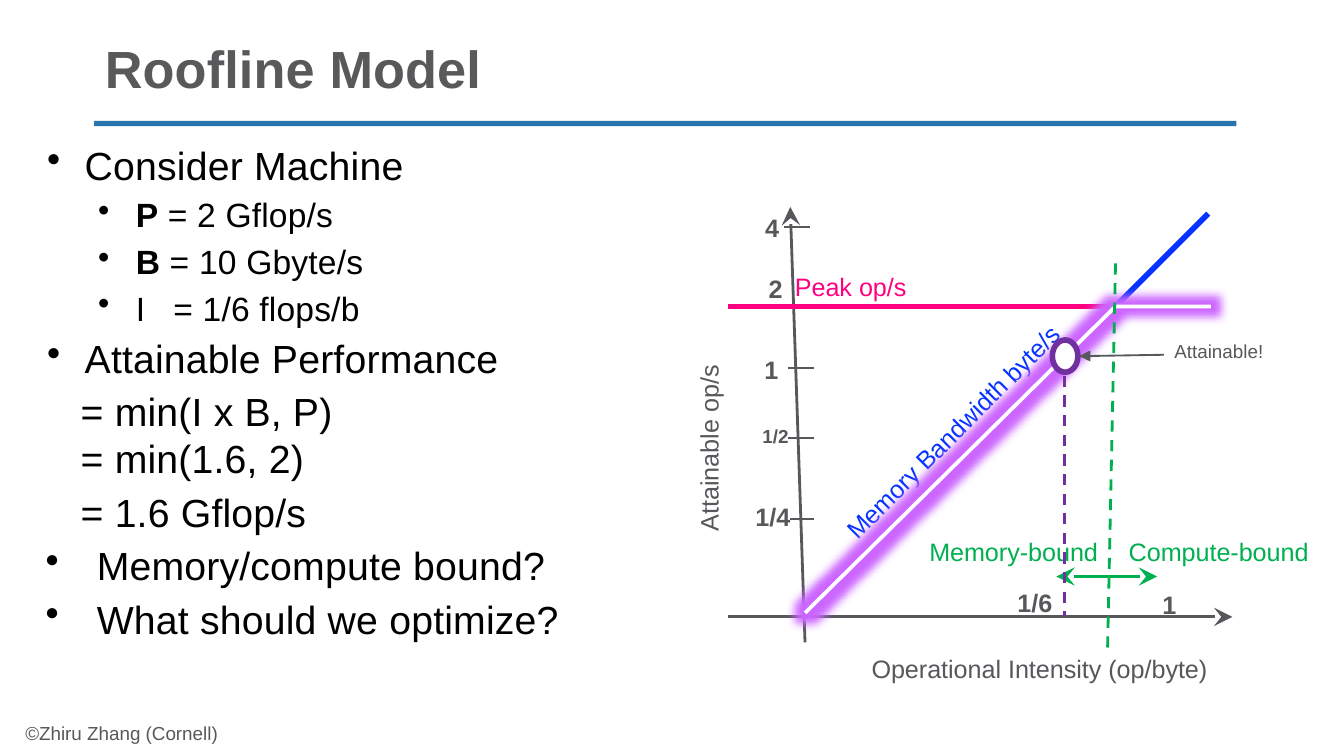
from dataclasses import dataclass

from lxml import etree
from pptx import Presentation
from pptx.dml.color import RGBColor
from pptx.enum.dml import MSO_LINE
from pptx.enum.shapes import MSO_CONNECTOR, MSO_SHAPE
from pptx.enum.text import MSO_ANCHOR, MSO_AUTO_SIZE, PP_ALIGN
from pptx.oxml.ns import qn
from pptx.util import Inches, Pt

LEFT, CENTER, RIGHT = PP_ALIGN.LEFT, PP_ALIGN.CENTER, PP_ALIGN.RIGHT
TOP, MIDDLE, BOTTOM = MSO_ANCHOR.TOP, MSO_ANCHOR.MIDDLE, MSO_ANCHOR.BOTTOM
DASH = MSO_LINE.DASH
TITLE_ONLY = 5


@dataclass(frozen=True)
class Theme:
    font: str = "Arial"
    title_gray: str = "58595B"
    gray: str = "57585B"
    black: str = "000000"
    white: str = "FFFFFF"
    rule: str = "2774AE"
    peak: str = "FF0080"
    bandwidth: str = "0432FF"
    bound: str = "00B050"
    point: str = "7030A0"
    glow: str = "CC66FF"
    title_size: float = 28
    body_size: float = 21
    sub_size: float = 18
    label_size: float = 13.5
    small_size: float = 10.1


THEME = Theme()
DEFAULT_INSETS = (0.1, 0.05, 0.1, 0.05)
NO_INSETS = (0, 0, 0, 0)


def rgb(color):
    return RGBColor.from_string(color)


def style(run, size, color, bold=False, spacing=0):
    """Format a run; spacing is the extra letter spacing in points."""
    font = run.font
    font.name, font.size, font.bold = THEME.font, Pt(size), bold
    font.color.rgb = rgb(color)
    if spacing:
        run._r.get_or_add_rPr().set("spc", str(round(spacing * 100)))


def set_frame(frame, insets, anchor=TOP, wrap=True):
    frame.margin_left, frame.margin_top, frame.margin_right, frame.margin_bottom = map(
        Inches, insets)
    frame.vertical_anchor, frame.word_wrap = anchor, wrap
    frame.auto_size = MSO_AUTO_SIZE.NONE


def add_label(slide, text, box, size=THEME.label_size, color=THEME.gray, bold=False,
              align=CENTER, anchor=TOP, insets=DEFAULT_INSETS, wrap=True, rotation=0):
    label = slide.shapes.add_textbox(*map(Inches, box))
    label.rotation = rotation
    set_frame(label.text_frame, insets, anchor, wrap)
    paragraph = label.text_frame.paragraphs[0]
    paragraph.text, paragraph.alignment = text, align
    style(paragraph.runs[0], size, color, bold)


def add_line(slide, start, end, color=THEME.gray, width=1.5, dash=None, arrow=None,
             arrow_size="med"):
    line = slide.shapes.add_connector(
        MSO_CONNECTOR.STRAIGHT, *map(Inches, (*start, *end)))
    line.line.color.rgb, line.line.width = rgb(color), Pt(width)
    if dash:
        line.line.dash_style = dash
    properties = line._element.spPr
    if arrow:
        etree.SubElement(properties.find(qn("a:ln")), qn("a:tailEnd"),
                         type=arrow, w=arrow_size, len=arrow_size)
    etree.SubElement(properties, qn("a:effectLst"))


def add_shape(slide, kind, box, fill, outline=None, width=3):
    shape = slide.shapes.add_shape(kind, *map(Inches, box))
    shape.shadow.inherit = False
    shape.fill.solid()
    shape.fill.fore_color.rgb = rgb(fill)
    if outline:
        shape.line.color.rgb, shape.line.width = rgb(outline), Pt(width)
    else:
        shape.line.fill.background()


def add_glowing_path(slide, points, color, width, glow, radius):
    start, *rest = [tuple(map(Inches, point)) for point in points]
    builder = slide.shapes.build_freeform(*start)
    builder.add_line_segments(rest, close=False)
    path = builder.convert_to_shape()
    path.shadow.inherit = False
    path.fill.background()
    path.line.color.rgb, path.line.width = rgb(color), Pt(width)
    effects = path._element.spPr.find(qn("a:effectLst"))
    halo = etree.SubElement(effects, qn("a:glow"), rad=str(Pt(radius)))
    etree.SubElement(halo, qn("a:srgbClr"), val=glow)


def indent(paragraph, margin, hanging, bullet):
    """Set margin, bullet and the tab stops shared by the whole list."""
    properties = paragraph._p.get_or_add_pPr()
    properties.set("marL", str(Inches(margin)))
    properties.set("indent", str(Inches(-hanging)))
    if bullet:
        etree.SubElement(properties, qn("a:buChar"), char="•")
    else:
        etree.SubElement(properties, qn("a:buNone"))
    stops = etree.SubElement(properties, qn("a:tabLst"))
    for position in (0.27, 0.95):
        etree.SubElement(stops, qn("a:tab"), pos=str(Inches(position)), algn="l")


def add_title(slide):
    title = slide.shapes.title
    title.left, title.top, title.width, title.height = map(
        Inches, (0.72, 0.31, 7.52, 0.43))
    set_frame(title.text_frame, (0, 0.01, 0, 0), BOTTOM)
    title.text_frame.text = "Roofline Model"
    heading = title.text_frame.paragraphs[0]
    heading.alignment, heading.line_spacing = LEFT, 0.9
    indent(heading, 0.06, 0, False)
    style(heading.runs[0], THEME.title_size, THEME.title_gray, True, spacing=0.1)
    add_shape(slide, MSO_SHAPE.RECTANGLE, (0.7, 0.9, 8.5, 0.04), THEME.rule)


def add_body(slide):
    # margin, hanging and bullet of each kind of line
    topic, detail = (0.29, 0.28, True), (0.67, 0.28, True)
    formula, question = (0.26, 0, False), (0.38, 0.38, True)
    lines = [
        (topic, "", "Consider Machine"),
        (detail, "P", " = 2 Gflop/s"),
        (detail, "B", " = 10 Gbyte/s"),
        (detail, "", "I\t= 1/6 flops/b"),
        (topic, "", "Attainable Performance"),
        (formula, "", "= min(I x B, P)\v= min(1.6, 2)"),
        (formula, "", "= 1.6 Gflop/s"),
        (question, "", "Memory/compute bound?"),
        (question, "", "What should we optimize?"),
    ]
    body = slide.shapes.add_textbox(*map(Inches, (0.34, 1, 6.05, 4.16))).text_frame
    set_frame(body, (0, 0.05, 0, 0))
    for number, (layout, symbol, text) in enumerate(lines):
        paragraph = body.add_paragraph() if number else body.paragraphs[0]
        size = THEME.sub_size if layout is detail else THEME.body_size
        paragraph.level = int(layout is detail)
        indent(paragraph, *layout)
        if number:
            paragraph.space_before = Pt(3.4)
        paragraph.text = symbol or text
        if symbol:
            paragraph.add_run().text = text
        for run in paragraph.runs:
            style(run, size, THEME.black, run.text == symbol, spacing=0.1)


def add_axes(slide):
    for start, end in (((5.42, 4.59), (9.17, 4.59)), ((5.99, 4.78), (5.88, 1.54))):
        add_line(slide, start, end, arrow="stealth", arrow_size="lg")
    add_label(slide, "Attainable op/s", (3.84, 3.17, 2.87, 0.33), rotation=270)
    add_label(slide, "Operational Intensity (op/byte)", (5.96, 4.81, 3.55, 0.33))


def add_ticks(slide):
    for left, right, y in ((5.83, 6.03, 1.69), (5.86, 6.06, 2.74),
                           (5.86, 6.06, 3.26), (5.88, 6.06, 3.86)):
        add_line(slide, (left, y), (right, y), width=1)
    for text, left, top, width in (
            ("4", 5.62, 1.57, 0.25), ("2", 5.21, 2.02, 1.12), ("1", 5.55, 2.62, 0.38),
            ("1/2", 5.21, 3.12, 1.12), ("1/4", 5.19, 3.72, 1.12),
            ("1/6", 7.14, 4.36, 1.12), ("1", 8.14, 4.37, 1.12)):
        size = THEME.small_size if text == "1/2" else THEME.label_size
        add_label(slide, text, (left, top, width, 0.25), size, bold=True,
                  anchor=MIDDLE, insets=NO_INSETS)


def add_roofs(slide):
    add_line(slide, (5.42, 2.28), (8.99, 2.28), THEME.peak, 3)
    add_label(slide, "Peak op/s", (5.81, 1.97, 1.04, 0.33), color=THEME.peak, wrap=False)
    add_line(slide, (5.99, 4.59), (8.99, 1.59), THEME.bandwidth, 3)
    add_label(slide, "Memory Bandwidth byte/s", (5.9, 3.05, 2.38, 0.33),
              color=THEME.bandwidth, wrap=False, rotation=315)
    add_glowing_path(slide, [(5.99, 4.56), (8.3, 2.28), (9.01, 2.28)],
                     THEME.white, 2, THEME.glow, 10)


def add_bounds(slide):
    add_line(slide, (8.3, 1.96), (8.24, 4.88), THEME.bound, dash=DASH)
    for text, left, align, tip in (("Memory-bound", 7.42, RIGHT, 7.86),
                                   ("Compute-bound", 8.3, LEFT, 8.61)):
        add_line(slide, (8.24, 4.29), (tip, 4.29), THEME.bound,
                 arrow="stealth", arrow_size="lg")
        add_label(slide, text, (left, 3.91, 0.75, 0.39), color=THEME.bound, align=align,
                  anchor=MIDDLE, insets=(0.1, 0, 0, 0), wrap=False)


def add_attainable_point(slide):
    add_line(slide, (7.92, 2.65), (7.92, 4.58), THEME.point, dash=DASH)
    add_shape(slide, MSO_SHAPE.OVAL, (7.83, 2.53, 0.19, 0.24), THEME.white, THEME.point)
    add_line(slide, (8.66, 2.64), (8.03, 2.65), width=1, arrow="triangle")
    add_label(slide, "Attainable!", (8.64, 2.48, 1.6, 0.27), THEME.small_size, align=LEFT)


def main():
    deck = Presentation()
    deck.slide_width = Inches(10)
    deck.slide_height = deck.slide_width * 9 // 16
    slide = deck.slides.add_slide(deck.slide_layouts[TITLE_ONLY])
    add_title(slide)
    add_label(slide, "©Zhiru Zhang (Cornell)", (0.09, 5.32, 1.7, 0.27),
              THEME.small_size, align=LEFT, wrap=False)
    add_axes(slide)
    add_roofs(slide)
    add_bounds(slide)
    add_body(slide)
    add_attainable_point(slide)
    add_ticks(slide)
    deck.save("out.pptx")


if __name__ == "__main__":
    main()
